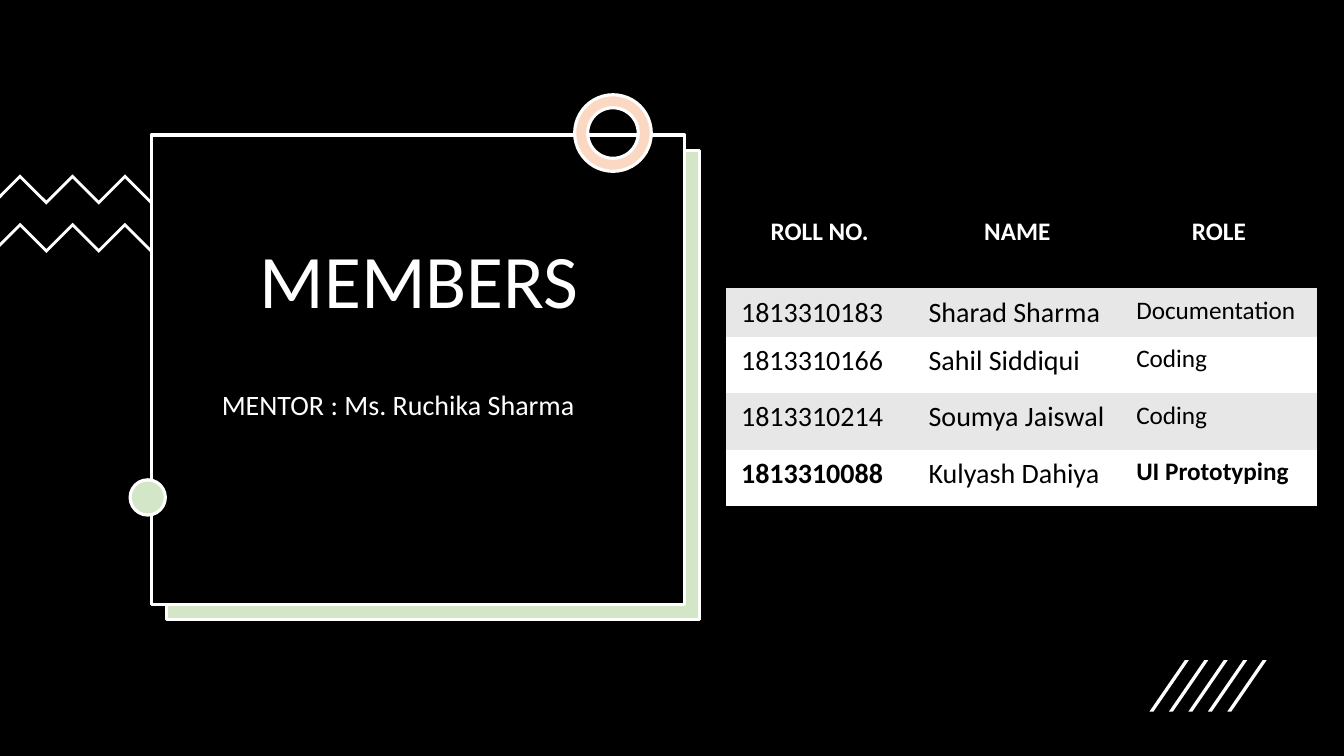
from pptx import Presentation
from pptx import util as u
from pptx.dml.color import RGBColor
from pptx.enum import shapes, text

INK = {"black": "000000", "white": "FFFFFF", "green": "D4E6C8",
       "peach": "FAD8C1", "gray": "E7E7E7"}
FONT = "Calibri"
KIND = shapes.MSO_SHAPE
ALIGN = text.PP_ALIGN
PLAIN = "{2D5ABB26-0587-4C30-8999-92F81FD0307C}"

HEADS = ["ROLL NO.", "NAME", "ROLE"]
TEAM = [
    ["1813310183", "Sharad Sharma", "Documentation"],
    ["1813310166", "Sahil Siddiqui", "Coding"],
    ["1813310214", "Soumya Jaiswal", "Coding"],
    ["1813310088", "Kulyash Dahiya", "UI Prototyping"],
]


def paint(fill, ink):
    fill.solid()
    fill.fore_color.rgb = RGBColor.from_string(INK[ink])


def style(para, size, ink, align, bold=False):
    para.alignment = align
    para.font.name = FONT
    para.font.size = u.Pt(size)
    para.font.bold = bold
    para.font.color.rgb = RGBColor.from_string(INK[ink])


def add_form(slide, kind, box, ink):
    form = slide.shapes.add_shape(kind, *map(u.Inches, box))
    form.shadow.inherit = False
    paint(form.fill, ink)
    paint(form.line.fill, "white")
    form.line.width = u.Pt(2.25)
    return form


def add_outline(slide, points):
    spots = [(u.Inches(x), u.Inches(y)) for x, y in points]
    pen = slide.shapes.build_freeform(*spots[0], scale=1.0)
    pen.add_line_segments(spots[1:], close=True)
    form = pen.convert_to_shape()
    form.shadow.inherit = False
    paint(form.fill, "white")
    form.line.fill.background()


def add_label(slide, box, words, size, anchor, before=0):
    frame = slide.shapes.add_textbox(*map(u.Inches, box)).text_frame
    frame.word_wrap = True
    frame.vertical_anchor = anchor
    para = frame.paragraphs[0]
    para.text = words
    para.line_spacing = 0.9
    para.space_before = u.Pt(before)
    style(para, size, "white", ALIGN.CENTER)


def add_waves(slide, left, top):
    step, thick = 0.26, 0.04
    edge = [(left, top + 0.2)]
    edge += [(left + 0.2 + i * step, top + i % 2 * step) for i in range(7)]
    edge.append((left + 2.03, top + 0.27))
    for drop in (0, 0.48):
        upper = [(x, y + drop) for x, y in edge]
        lower = [(x, y + thick) for x, y in reversed(upper)]
        add_outline(slide, upper + lower)


def add_panel(slide, left, top, width, height):
    shift = 0.15
    add_form(slide, KIND.RECTANGLE, (left + shift, top + shift, width, height), "green")
    add_waves(slide, 0, top + 0.39)
    add_form(slide, KIND.RECTANGLE, (left, top, width, height), "black")
    add_label(slide, (left + 0.36, top + 0.94, 4.6, 0.99), "MEMBERS", 54,
              text.MSO_ANCHOR.BOTTOM)
    add_label(slide, (left + 0.15, top + 2.49, 4.6, 0.49),
              "MENTOR : Ms. Ruchika Sharma", 20, text.MSO_ANCHOR.TOP, 10)
    ring = add_form(slide, KIND.DONUT, (left + 4.2, top - 0.4, 0.76, 0.76), "peach")
    ring.adjustments[0] = 0.17
    add_form(slide, KIND.OVAL, (left - 0.21, top + 3.42, 0.35, 0.35), "green")


def add_slashes(slide, left, top):
    height, lean, thick, pitch = 0.51, 0.35, 0.04, 0.193
    for i in range(5):
        x = left + i * pitch
        add_outline(slide, [(x + thick, top + height), (x, top + height),
                            (x + lean, top), (x + lean + thick, top)])


def fill_cell(cell, words, ink, size, shade, align, bold):
    cell.margin_left = cell.margin_right = u.Inches(0.15)
    cell.margin_top = cell.margin_bottom = u.Inches(0.07)
    paint(cell.fill, shade)
    para = cell.text_frame.paragraphs[0]
    para.text = words
    style(para, size, ink, align, bold)


def add_roster(slide, left, top):
    wide, tall = [1.86, 2.06, 1.94], [0.78, 0.48, 0.56, 0.56, 0.56]
    box = map(u.Inches, (left, top, sum(wide), sum(tall)))
    table = slide.shapes.add_table(len(tall), len(wide), *box).table
    table._tbl.tblPr[0].text = PLAIN
    table.horz_banding = False
    for col, width in zip(table.columns, wide):
        col.width = u.Inches(width)
    for row, height in zip(table.rows, tall):
        row.height = u.Inches(height)
    for c, head in enumerate(HEADS):
        fill_cell(table.cell(0, c), head, "white", 18, "black", ALIGN.CENTER, True)
    for r, member in enumerate(TEAM, 1):
        shade = "gray" if r % 2 else "white"
        for c, words in enumerate(member):
            bold = r == len(TEAM) and c != 1
            fill_cell(table.cell(r, c), words, "black", 18 if c == 2 else 20,
                      shade, ALIGN.LEFT, bold)


def main():
    deck = Presentation()
    deck.slide_width, deck.slide_height = u.Inches(13.33), u.Inches(7.5)
    slide = deck.slides.add_slide(deck.slide_layouts[6])
    paint(slide.background.fill, "black")
    add_panel(slide, 1.5, 1.34, 5.29, 4.66)
    add_slashes(slide, 11.4, 6.55)
    add_roster(slide, 7.2, 2.08)
    deck.save("out.pptx")


if __name__ == "__main__":
    main()
